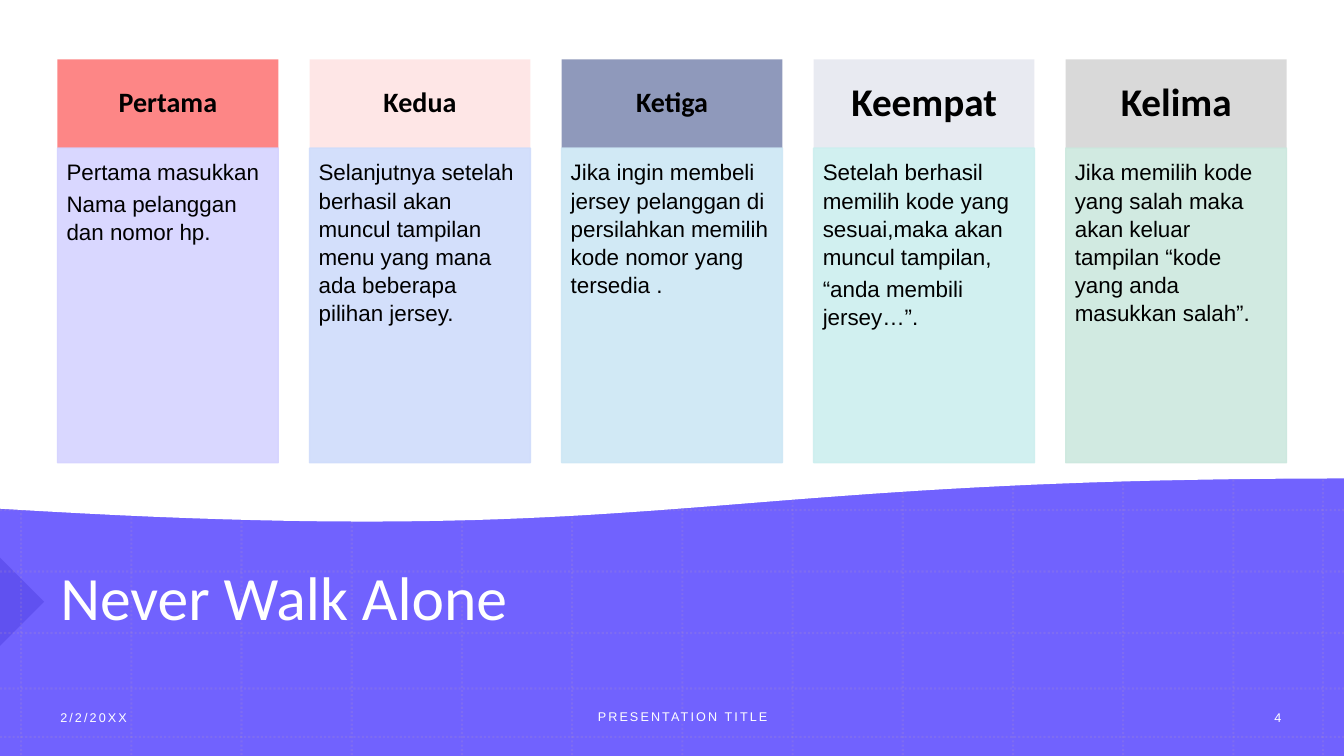
from lxml import etree
from pptx import Presentation
from pptx.dml.color import RGBColor
from pptx.enum.dml import MSO_LINE
from pptx.enum.shapes import MSO_CONNECTOR, MSO_SHAPE
from pptx.enum.text import MSO_ANCHOR, PP_ALIGN
from pptx.oxml.ns import qn
from pptx.util import Inches, Pt

# Content: heading, size, heading fill and opacity, body fill, paragraphs
STEPS = [
    ("Pertama", 20, "FD8686", 100, "D5D3FF",
     ["Pertama masukkan", "Nama pelanggan dan nomor hp."]),
    ("Kedua", 20, "FD8686", 20, "CFDCFB",
     ["Selanjutnya setelah berhasil akan muncul tampilan menu yang mana "
      "ada beberapa pilihan jersey."]),
    ("Ketiga", 20, "8F99BB", 100, "CDE7F5",
     ["Jika ingin membeli jersey pelanggan di persilahkan memilih kode "
      "nomor yang tersedia ."]),
    ("Keempat", 28, "8F99BB", 20, "CCEFEF",
     ["Setelah berhasil memilih kode yang sesuai,maka akan muncul tampilan,",
      "“anda membili jersey…”."]),
    ("Kelima", 28, "D9D9D9", 100, "CCE8DE",
     ["Jika memilih kode yang salah maka akan keluar tampilan “kode yang "
      "anda masukkan salah”."]),
]
TITLE = "Never Walk Alone"
FOOTERS = [
    ("2/2/20XX", 0.5, 6.92, 2.8, PP_ALIGN.LEFT),
    ("PRESENTATION TITLE", 4.59, 6.91, 4.36, PP_ALIGN.CENTER),
    ("4", 12.24, 6.92, 0.87, PP_ALIGN.CENTER),
]
WIDTH, HEIGHT = 13.33, 7.5
GRID_X = [0.21 + 1.09 * i + 0.003 * i for i in range(12)] + [13.12]
GRID_Y = [5.06, 5.67, 6.28, 6.83, 7.31]
WAVE = [(13.35, 4.74), (6.7, 4.74), (6.66, 5.45), (0, 5.04)]
WAVE_STEPS = 48
COL_LEFT, COL_PITCH, COL_WIDTH = 0.57, 2.5, 2.19
HEAD_TOP, HEAD_HEIGHT, BODY_HEIGHT = 0.59, 0.88, 3.12


def rgb(value):
    return RGBColor.from_string(value)


def set_opacity(sp, percent):
    for clr in sp.element.xpath("./p:spPr//a:srgbClr"):
        etree.SubElement(clr, qn("a:alpha")).set("val", str(percent * 1000))


def paint(sp, fill, opacity=100, line=False):
    sp.shadow.inherit = False
    sp.fill.solid()
    sp.fill.fore_color.rgb = rgb(fill)
    if line:
        sp.line.color.rgb = rgb(fill)
        sp.line.width = Pt(1)
    else:
        sp.line.fill.background()
    if opacity < 100:
        set_opacity(sp, opacity)


def add_block(shapes, kind, x, y, w, h, fill, opacity=100, line=False):
    sp = shapes.add_shape(kind, Inches(x), Inches(y), Inches(w), Inches(h))
    paint(sp, fill, opacity, line)
    return sp


def write(sp, lines, size, font, color, align=PP_ALIGN.LEFT,
          anchor=MSO_ANCHOR.MIDDLE, insets=(0.1, 0.05, 0.1, 0.05),
          bold=False, spacing=1.0, after=0, tracking=0):
    tf = sp.text_frame
    tf.word_wrap = True
    tf.vertical_anchor = anchor
    (tf.margin_left, tf.margin_top,
     tf.margin_right, tf.margin_bottom) = map(Inches, insets)
    tf.text = "\n".join(lines)
    for p in tf.paragraphs:
        p.alignment = align
        p.line_spacing = spacing
        p.space_after = Pt(after)
        for r in p.runs:
            r.font.size = Pt(size)
            r.font.name = font
            r.font.bold = bold
            r.font.color.rgb = rgb(color)
            if tracking:
                r.font._element.set("spc", str(int(tracking * 100)))


def add_grid_line(shapes, x1, y1, x2, y2):
    line = shapes.add_connector(MSO_CONNECTOR.STRAIGHT, Inches(x1), Inches(y1),
                                Inches(x2), Inches(y2))
    line.line.color.rgb = rgb("B495C2")
    line.line.width = Pt(1.5)
    line.line.dash_style = MSO_LINE.ROUND_DOT
    set_opacity(line, 20)
    etree.SubElement(line.element.spPr, qn("a:effectLst"))


def curve_point(t):
    weights = ((1 - t) ** 3, 3 * t * (1 - t) ** 2, 3 * t * t * (1 - t), t ** 3)
    return tuple(Inches(sum(k * pt[axis] for k, pt in zip(weights, WAVE)))
                 for axis in (0, 1))


def add_background(shapes):
    add_block(shapes, MSO_SHAPE.RECTANGLE, 0, 0, WIDTH, HEIGHT, "7162FE")
    arrow = add_block(shapes, MSO_SHAPE.RIGHT_TRIANGLE, -0.31, 5.66, 0.62, 0.62,
                      "1201AF", 17)
    arrow.rotation = 225
    for x in GRID_X:
        add_grid_line(shapes, x, 0, x, HEIGHT)
    for y in GRID_Y:
        add_grid_line(shapes, 0, y, WIDTH, y)
    # White area with a wavy lower edge
    builder = shapes.build_freeform(0, Inches(-0.03))
    edge = [curve_point(i / WAVE_STEPS) for i in range(WAVE_STEPS + 1)]
    builder.add_line_segments([(Inches(13.35), Inches(-0.03))] + edge, close=True)
    paint(builder.convert_to_shape(), "FFFFFF", line=True)


def add_step(shapes, index, step):
    heading, size, fill, opacity, body_fill, lines = step
    x = COL_LEFT + index * COL_PITCH
    head = add_block(shapes, MSO_SHAPE.RECTANGLE, x, HEAD_TOP, COL_WIDTH,
                     HEAD_HEIGHT, fill, opacity)
    side, top = (0.16, 0.09) if size == 20 else (0.22, 0.12)
    write(head, [heading], size, "Calibri", "000000", PP_ALIGN.CENTER,
          insets=(side, top, side, top), bold=True, spacing=0.9)
    body = add_block(shapes, MSO_SHAPE.RECTANGLE, x, HEAD_TOP + HEAD_HEIGHT,
                     COL_WIDTH, BODY_HEIGHT, body_fill, 90, line=True)
    write(body, lines, 16, "Arial", "000000", anchor=MSO_ANCHOR.TOP,
          insets=(0.09, 0.09, 0.12, 0.14), spacing=1.05, after=2.4)


def add_label(shapes, text, x, y, w, h, size, font, **style):
    box = shapes.add_textbox(Inches(x), Inches(y), Inches(w), Inches(h))
    write(box, [text], size, font, "FFFFFF", **style)


def main():
    prs = Presentation()
    prs.slide_width, prs.slide_height = Inches(WIDTH), Inches(HEIGHT)
    s = prs.slides.add_slide(prs.slide_layouts[6])
    add_background(s.shapes)
    # Title and footer
    add_label(s.shapes, TITLE, 0.5, 5.09, 11.75, 1.74, 44, "Calibri", spacing=0.9)
    for text, x, y, w, align in FOOTERS:
        add_label(s.shapes, text, x, y, w, 0.4, 9, "Arial", align=align, tracking=1.5)
    # Step columns
    for index, step in enumerate(STEPS):
        add_step(s.shapes, index, step)
    prs.save("out.pptx")


if __name__ == "__main__":
    main()
